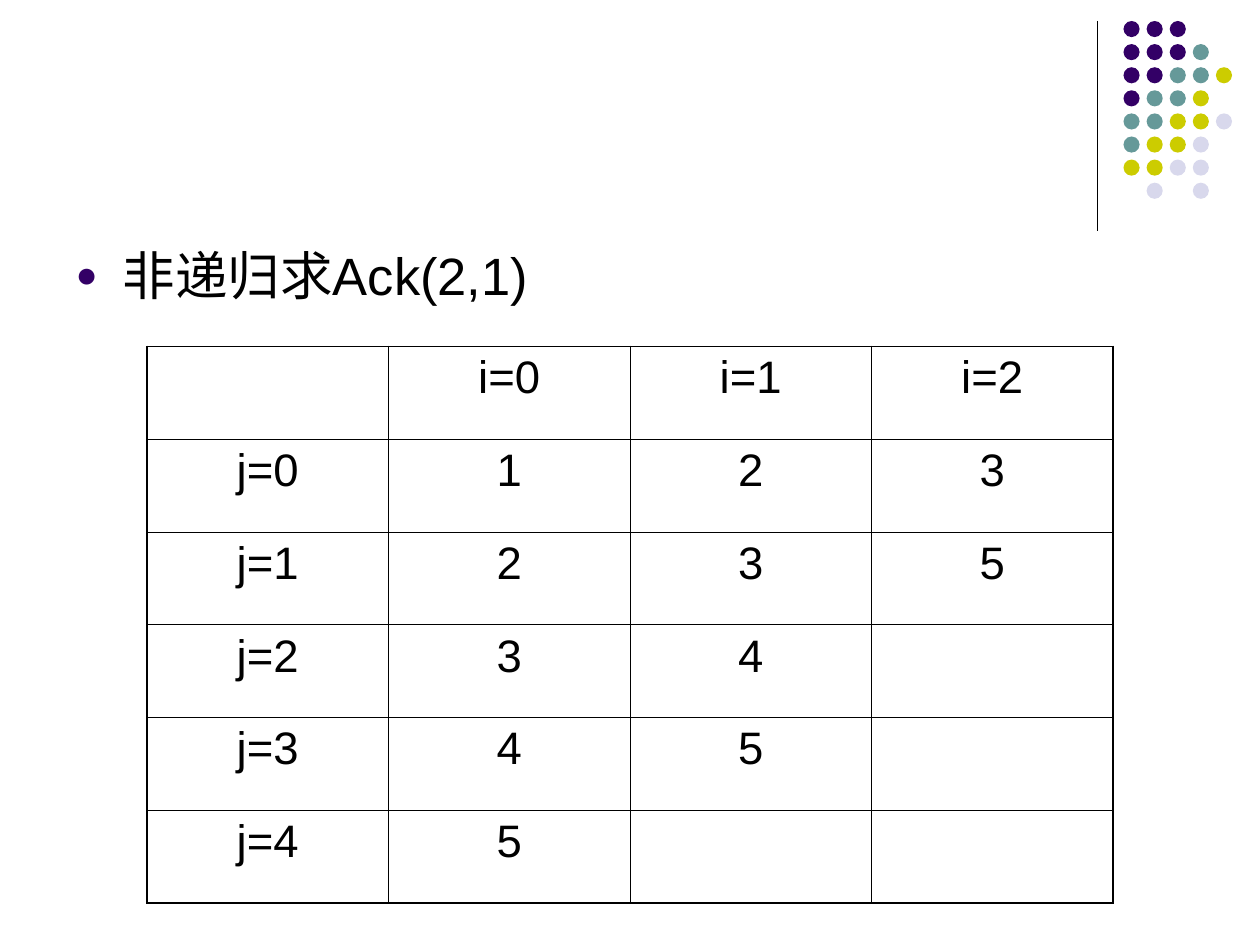
from lxml.etree import SubElement
from pptx import Presentation
from pptx.dml.color import RGBColor
from pptx.enum.shapes import MSO_CONNECTOR, MSO_SHAPE
from pptx.enum.text import MSO_ANCHOR, PP_ALIGN
from pptx.oxml.ns import qn
from pptx.util import Pt

BLACK = RGBColor(0x00, 0x00, 0x00)
PURPLE = RGBColor(0x33, 0x00, 0x66)
TEAL = RGBColor(0x66, 0x99, 0x99)
OLIVE = RGBColor(0xCC, 0xCC, 0x00)
LAVENDER = RGBColor(0xD8, 0xD8, 0xEC)
FONT = "Arial"

DOT_COLORS = {"P": PURPLE, "T": TEAL, "O": OLIVE, "L": LAVENDER}
DOT_ROWS = ["PPP", "PPPT", "PPTTO", "PTTO", "TTOOL", "TOOL", "OOLL", " L L"]
ACKERMANN_ROWS = [
    ["", "i=0", "i=1", "i=2"],
    ["j=0", "1", "2", "3"],
    ["j=1", "2", "3", "5"],
    ["j=2", "3", "4", ""],
    ["j=3", "4", "5", ""],
    ["j=4", "5", "", ""],
]


def format_paragraph(paragraph, size, alignment):
    """Apply the common text format to a paragraph."""
    paragraph.alignment = alignment
    paragraph.space_before = Pt(0)
    paragraph.font.name = FONT
    paragraph.font.size = Pt(size)
    paragraph.font.color.rgb = BLACK


def add_divider(slide):
    """Draw the vertical rule beside the dots."""
    line = slide.shapes.add_connector(
        MSO_CONNECTOR.STRAIGHT, Pt(627), Pt(12), Pt(627), Pt(132)
    )
    line.line.color.rgb = BLACK
    line.line.width = Pt(0.75)
    SubElement(line.element.spPr, qn("a:effectLst"))


def add_dots(slide, left=642, top=12, pitch=13.2, diameter=9.2):
    """Draw the grid of coloured dots as one group."""
    group = slide.shapes.add_group_shape()
    for row, codes in enumerate(DOT_ROWS):
        for column, code in enumerate(codes):
            if code == " ":
                continue
            dot = group.shapes.add_shape(
                MSO_SHAPE.OVAL,
                Pt(left + column * pitch), Pt(top + row * pitch),
                Pt(diameter), Pt(diameter),
            )
            dot.shadow.inherit = False
            dot.fill.solid()
            dot.fill.fore_color.rgb = DOT_COLORS[code]
            dot.line.fill.background()


def fill_body(body, text):
    """Place the body placeholder and write its bulleted line."""
    body.left, body.top, body.width, body.height = Pt(36), Pt(135.5), Pt(648), Pt(347)
    body.text_frame.vertical_anchor = MSO_ANCHOR.TOP
    paragraph = body.text_frame.paragraphs[0]
    paragraph.text = text
    properties = paragraph._p.get_or_add_pPr()
    properties.set("marL", str(Pt(27)))
    properties.set("indent", str(Pt(-27)))
    bullet_color = SubElement(properties, qn("a:buClr"))
    SubElement(bullet_color, qn("a:srgbClr"), val=str(PURPLE))
    SubElement(properties, qn("a:buSzPct"), val="70000")
    SubElement(properties, qn("a:buFont"), typeface=FONT)
    SubElement(properties, qn("a:buChar"), char="●")
    format_paragraph(paragraph, 30, PP_ALIGN.LEFT)


def set_borders(cell, widths):
    """Draw the left, right, top and bottom borders of a cell."""
    properties = cell._tc.get_or_add_tcPr()
    for side, width in zip("LRTB", widths):
        border = SubElement(properties, qn(f"a:ln{side}"), w=str(Pt(width)))
        fill = SubElement(border, qn("a:solidFill"))
        SubElement(fill, qn("a:srgbClr"), val=str(BLACK))


def add_table(slide, rows, outer=1.08, inner=0.45):
    """Add the value table with a heavier outer frame."""
    last_row, last_column = len(rows) - 1, len(rows[0]) - 1
    table = slide.shapes.add_table(
        len(rows), len(rows[0]), Pt(84), Pt(198), Pt(552), Pt(318)
    ).table
    table.first_row = table.horz_banding = False
    for r, values in enumerate(rows):
        for c, value in enumerate(values):
            cell = table.cell(r, c)
            on_frame = (c == 0, c == last_column, r == 0, r == last_row)
            set_borders(cell, [outer if edge else inner for edge in on_frame])
            cell.fill.background()
            cell.text = value
            format_paragraph(cell.text_frame.paragraphs[0], 26, PP_ALIGN.CENTER)


def main():
    """Build the slide and save the presentation."""
    presentation = Presentation()
    presentation.slide_width, presentation.slide_height = Pt(720), Pt(540)
    slide = presentation.slides.add_slide(presentation.slide_layouts[1])
    title = slide.shapes.title.element
    title.getparent().remove(title)
    add_divider(slide)
    add_dots(slide)
    fill_body(slide.placeholders[1], "非递归求Ack(2,1)")
    add_table(slide, ACKERMANN_ROWS)
    presentation.save("out.pptx")


if __name__ == "__main__":
    main()
